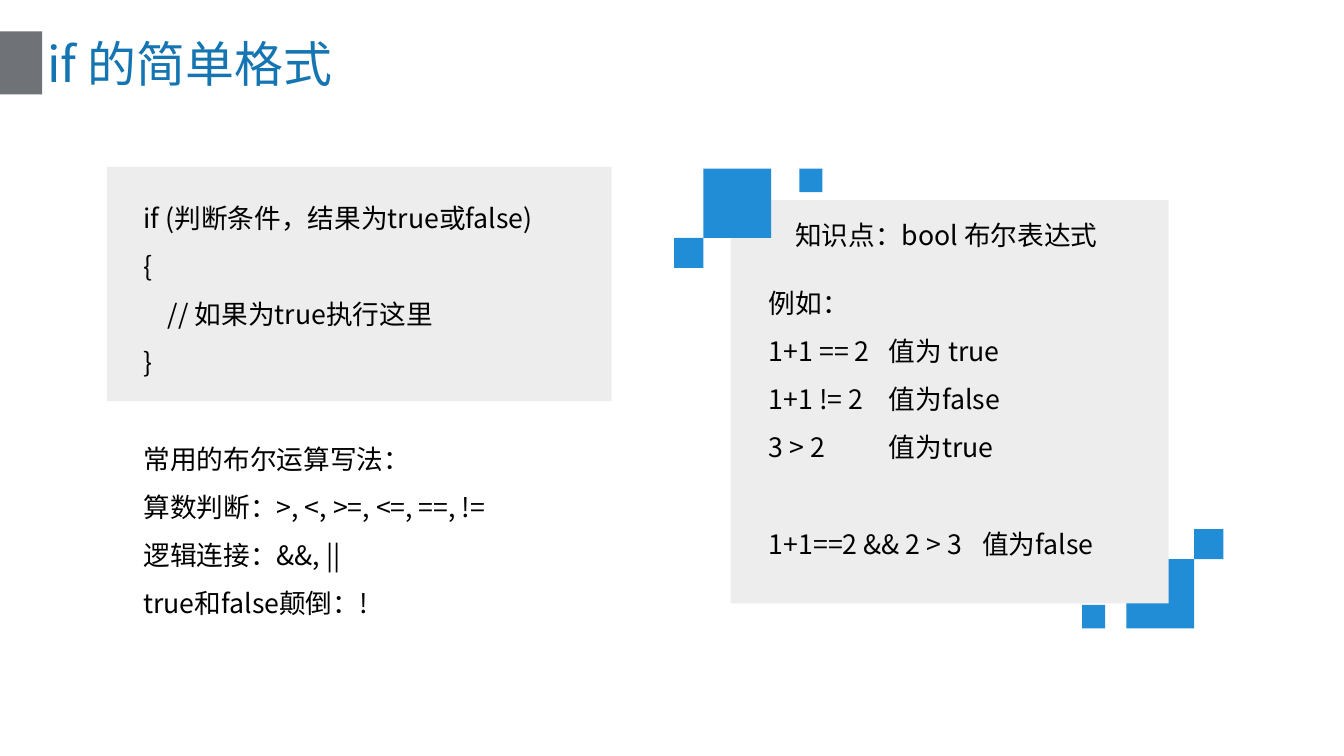
from pptx import Presentation
from pptx import util as u
from pptx.dml.color import RGBColor
from pptx.enum import shapes, text
from pptx.oxml.ns import qn
from lxml import etree

FONT = "Noto Sans CJK SC"
BLUE, PANEL, GREY, BLACK = "218DD6", "EDEDED", "6F7378", "000000"
LINE = 65  # line pitch of the body text, points


def rgb(color):
    return RGBColor.from_string(color)


def add_rect(slide, x, y, w, h, color):
    sp = slide.shapes.add_shape(shapes.MSO_SHAPE.RECTANGLE,
                                *map(u.Inches, (x, y, w, h)))
    sp.shadow.inherit = False
    sp.fill.solid()
    sp.fill.fore_color.rgb = rgb(color)
    sp.line.fill.background()
    return sp


def add_text(slide, x, y, w, h, lines, size=36, color=BLACK, pitch=LINE,
             anchor=text.MSO_ANCHOR.TOP):
    """Each line is a string, or a string with a dict of paragraph options."""
    tf = slide.shapes.add_textbox(*map(u.Inches, (x, y, w, h))).text_frame
    tf.word_wrap = True
    tf.vertical_anchor = anchor
    for i, line in enumerate(lines):
        words, opts = line if isinstance(line, tuple) else (line, {})
        p = tf.paragraphs[0] if i == 0 else tf.add_paragraph()
        if pitch:
            p.line_spacing = u.Pt(pitch)
        p.space_before = u.Pt(opts.get("before", 0))
        pPr = p._p.get_or_add_pPr()
        if "indent" in opts:
            pPr.set("marL", str(u.Inches(opts["indent"])))
            pPr.set("indent", "0")
        if "\t" in words:
            tabs = etree.SubElement(pPr, qn("a:tabLst"))
            for stop in (2.25, 4):
                etree.SubElement(tabs, qn("a:tab"), pos=str(u.Inches(stop)), algn="l")
        r = p.add_run()
        r.text = words
        r.font.size = u.Pt(size)
        r.font.name = FONT
        r.font.color.rgb = rgb(color)
        etree.SubElement(r._r.get_or_add_rPr(), qn("a:ea"), typeface=FONT)


def title_bar(slide, x, y, w, h):
    add_rect(slide, x, y, 0.79, h, GREY)
    add_text(slide, x + 0.79, y, w - 0.79, h, ["if 的简单格式"], size=66,
             color="1475B2", pitch=None, anchor=text.MSO_ANCHOR.MIDDLE)


def syntax_column(slide, x, y, w, h):
    add_rect(slide, x, y, w, 4.39, PANEL)
    add_text(slide, x + 0.58, y + 0.3, w - 0.76, h - 0.3, [
        "if (判断条件，结果为true或false)",
        "{",
        ("// 如果为true执行这里", {"indent": 0.46}),
        "}",
        ("常用的布尔运算写法：", {"before": LINE}),
        "算数判断：>, <, >=, <=, ==, !=",
        "逻辑连接：&&, ||",
        "true和false颠倒：!",
    ])


def corner_squares(slide, x, y, w, h, dot_x, turned=False):
    """Three squares in a box, turned by half a circle if asked."""
    squares = [(0.55, 0, 1.27, 1.3), (0, 1.3, 0.55, 0.56), (dot_x, 0, 0.43, 0.44)]
    for dx, dy, sw, sh in squares:
        if turned:
            dx, dy = w - dx - sw, h - dy - sh
        add_rect(slide, x + dx, y + dy, sw, sh, BLUE)


def knowledge_card(slide, x, y, w, h):
    corner_squares(slide, x + 6.59, y + 6.15, 2.65, 1.88, 2.22, turned=True)
    add_rect(slide, x, y, w, h, PANEL)
    corner_squares(slide, x - 1.06, y - 0.59, 2.78, 1.86, 2.35)
    add_text(slide, x + 1.11, y, 7.01, 1.01, ["知识点：bool 布尔表达式"])
    add_text(slide, x + 0.62, y + 1.27, 7.01, 5.55, [
        "例如：",
        "1+1 == 2\t值为 true",
        "1+1 != 2\t值为false",
        "3 > 2\t值为true",
        ("1+1==2 && 2 > 3\t值为false", {"before": LINE}),
    ])


def main():
    prs = Presentation()
    prs.slide_width, prs.slide_height = u.Inches(25.2), u.Inches(14.17)
    slide = prs.slides.add_slide(prs.slide_layouts[6])
    title_bar(slide, 0, 0.59, 24.41, 1.18)
    syntax_column(slide, 2.01, 3.13, 9.46, 8.58)
    knowledge_card(slide, 13.7, 3.75, 8.21, 7.56)
    prs.save("out.pptx")


if __name__ == "__main__":
    main()
